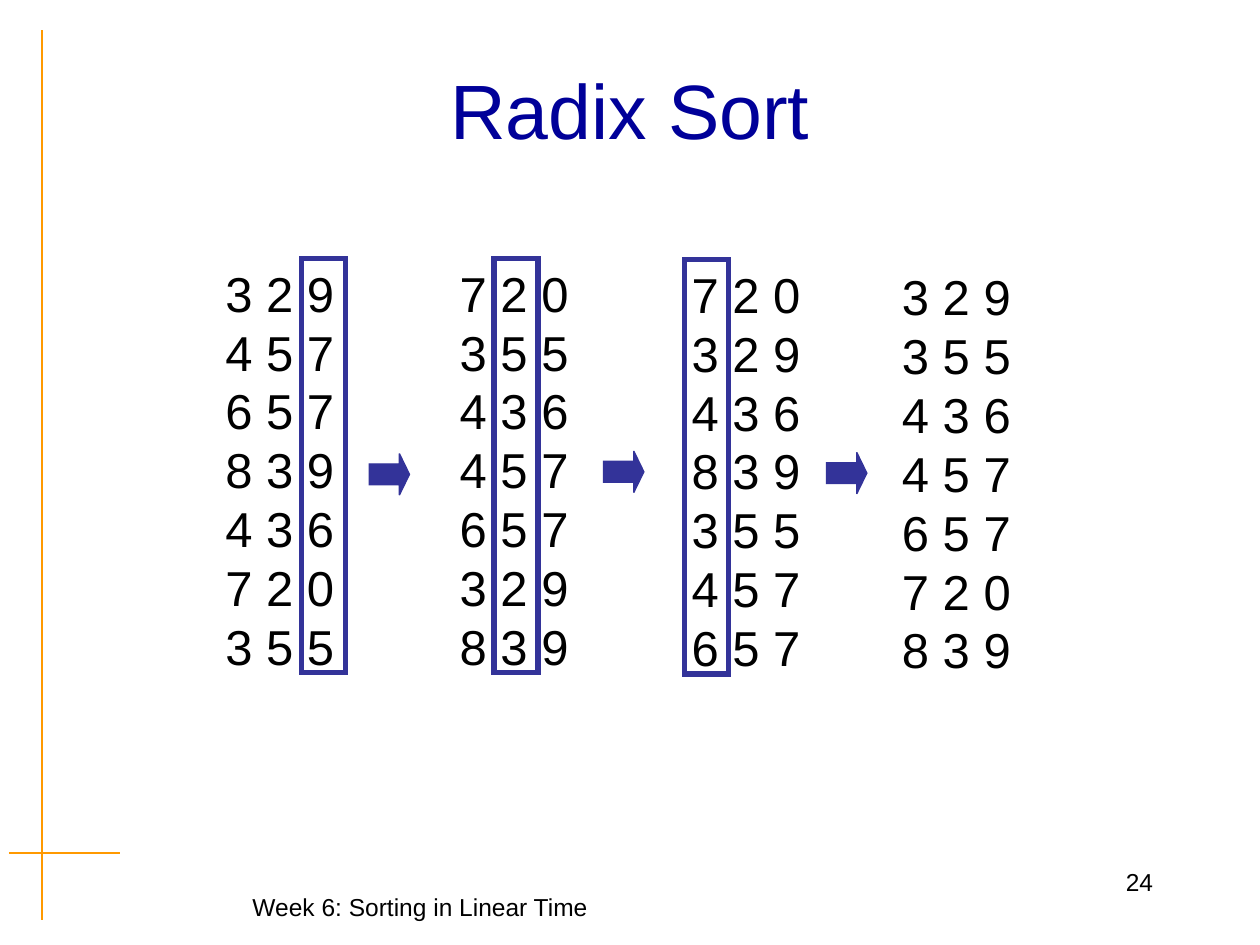
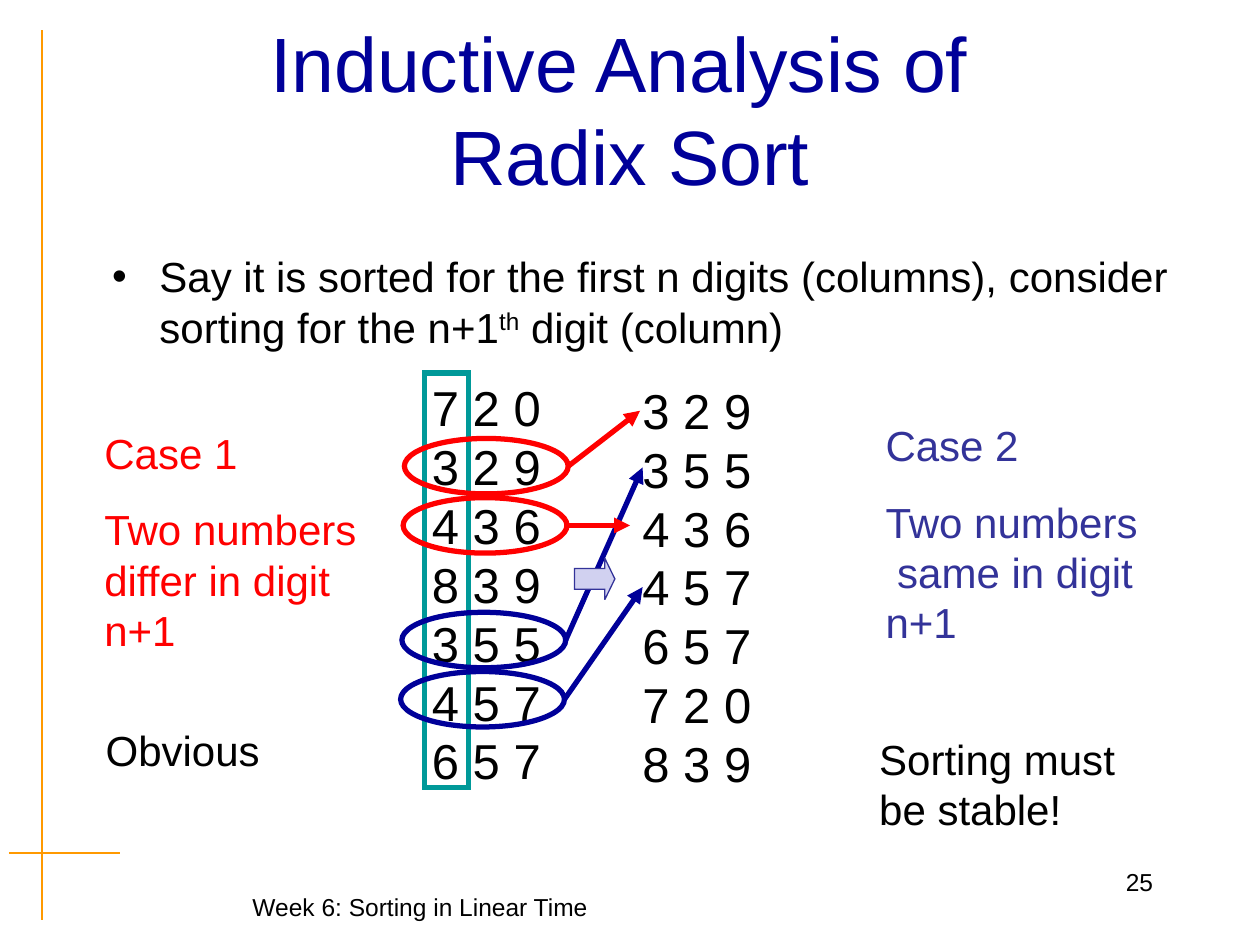
from dataclasses import dataclass
from typing import Optional

import pptx
import pptx.dml.color
import pptx.enum.shapes
import pptx.enum.text
import pptx.oxml
import pptx.oxml.ns
import pptx.util
from pptx.util import Inches

Color = pptx.dml.color.RGBColor
Align = pptx.enum.text.PP_ALIGN
Preset = pptx.enum.shapes.MSO_SHAPE


@dataclass(frozen=True)
class Theme:
    font: str = "Arial"
    black: Color = Color.from_string("000000")
    navy: Color = Color.from_string("000099")
    indigo: Color = Color.from_string("333399")
    lavender: Color = Color.from_string("D1D1F0")
    teal: Color = Color.from_string("009999")
    red: Color = Color.from_string("FF0000")
    orange: Color = Color.from_string("FF9900")
    title_size: int = 44
    digit_size: int = 28
    body_size: int = 24
    footer_size: int = 14
    rule_width: float = 1.19
    thin_width: float = 0.75
    thick_width: float = 3


THEME = Theme()


@dataclass(frozen=True)
class Column:
    """A list of three-digit numbers, with one digit position framed."""
    left: float
    top: float
    width: float
    numbers: str
    framed_digit: Optional[int] = None
    frame_color: Color = THEME.indigo


@dataclass(frozen=True)
class Note:
    left: float
    top: float
    height: float
    paragraphs: tuple[str, ...]
    color: Color = THEME.black


@dataclass(frozen=True)
class Trace:
    """An ellipse round a number and the arrow to its sorted place."""
    left: float
    top: float
    target: tuple[float, float]
    color: Color


# Number lists after each pass
INPUT = "3 2 9,4 5 7,6 5 7,8 3 9,4 3 6,7 2 0,3 5 5"
BY_ONES = "7 2 0,3 5 5,4 3 6,4 5 7,6 5 7,3 2 9,8 3 9"
BY_TENS = "7 2 0,3 2 9,4 3 6,8 3 9,3 5 5,4 5 7,6 5 7"
SORTED = "3 2 9,3 5 5,4 3 6,4 5 7,6 5 7,7 2 0,8 3 9"

PASSES = [
    Column(1.69, 2.04, 1.12, INPUT, 2),
    Column(3.55, 2.04, 1.64, BY_ONES, 1),
    Column(5.39, 2.05, 1.28, BY_TENS, 0),
    Column(7.06, 2.07, 1.19, SORTED),
]
PASS_ARROWS = [(2.93, 3.6), (4.79, 3.58), (6.56, 3.59)]

LAST_PASS = [
    Column(3.33, 2.95, 1.28, BY_TENS, 0, THEME.teal),
    Column(5, 2.97, 1.19, SORTED),
]
NOTES = [
    Note(0.73, 3.34, 1.91,
         ("Case 1", "Two numbers differ in digit n+1"), THEME.red),
    Note(6.93, 3.28, 1.91,
         ("Case 2", "Two numbers\v same in digit n+1"), THEME.indigo),
    Note(0.74, 5.7, 0.5, ("Obvious",)),
    Note(6.88, 5.77, 0.9, ("Sorting must be stable!",)),
]
TRACES = [
    Trace(3.18, 5.33, (5.1, 4.66), THEME.navy),
    Trace(3.21, 3.48, (5.08, 3.26), THEME.red),
    Trace(3.19, 4.86, (5.1, 3.71), THEME.navy),
    Trace(3.2, 3.95, (5, 4.17), THEME.red),
]


def place(shape, left: float, top: float, width: float, height: float) -> None:
    shape.left, shape.top = Inches(left), Inches(top)
    shape.width, shape.height = Inches(width), Inches(height)


def style(para, size: int, color: Color, align=Align.LEFT,
          space_before: float = 0) -> None:
    para.font.name = THEME.font
    para.font.size = pptx.util.Pt(size)
    para.font.color.rgb = color
    para.alignment = align
    para.space_before = pptx.util.Pt(space_before)


def add_text(page, left: float, top: float, width: float, height: float,
             paragraphs: tuple[str, ...], size: int,
             color: Color = THEME.black, align=Align.LEFT,
             space_before: float = 0) -> None:
    box = page.shapes.add_textbox(
        Inches(left), Inches(top), Inches(width), Inches(height))
    frame = box.text_frame
    frame.word_wrap = True
    for index, text in enumerate(paragraphs):
        para = frame.add_paragraph() if index else frame.paragraphs[0]
        para.text = text
        style(para, size, color, align, space_before)


def append_mark(parent, tag: str, attributes: str = "") -> None:
    """Append one empty drawing element, such as an arrowhead."""
    namespace = pptx.oxml.ns.nsdecls("a")
    parent.append(pptx.oxml.parse_xml(f"<a:{tag} {namespace} {attributes}/>"))


def add_line(page, start: tuple[float, float], end: tuple[float, float],
             color: Color, width: float, arrow: bool = False) -> None:
    line = page.shapes.add_connector(
        pptx.enum.shapes.MSO_CONNECTOR.STRAIGHT,
        Inches(start[0]), Inches(start[1]), Inches(end[0]), Inches(end[1]))
    line.line.color.rgb = color
    line.line.width = pptx.util.Pt(width)
    if arrow:
        append_mark(line._element.spPr.ln, "tailEnd", 'type="triangle"')
    append_mark(line._element.spPr, "effectLst")


def add_preset(page, preset, left: float, top: float, width: float,
               height: float, line_color: Color, line_width: float,
               fill: Optional[Color] = None):
    shape = page.shapes.add_shape(
        preset, Inches(left), Inches(top), Inches(width), Inches(height))
    shape.shadow.inherit = False
    shape.line.color.rgb = line_color
    shape.line.width = pptx.util.Pt(line_width)
    append_mark(shape._element.spPr.ln, "miter", 'lim="800000"')
    if fill is None:
        shape.fill.background()
    else:
        shape.fill.solid()
        shape.fill.fore_color.rgb = fill
    return shape


def add_block_arrow(page, left: float, top: float, fill: Color) -> None:
    arrow = add_preset(page, Preset.RIGHT_ARROW, left, top, 0.32, 0.33,
                       THEME.indigo, THEME.thin_width, fill)
    arrow.adjustments[0] = 0.5
    arrow.adjustments[1] = 0.25


def add_column(page, column: Column) -> None:
    add_text(page, column.left, column.top, column.width, 3.37,
             tuple(column.numbers.split(",")), THEME.digit_size)
    if column.framed_digit is not None:
        frame_left = column.left + 0.04 + 0.33 * column.framed_digit
        add_preset(page, Preset.RECTANGLE, frame_left, column.top + 0.01,
                   0.35, 3.29, column.frame_color, THEME.thick_width)


def add_trace(page, trace: Trace) -> None:
    width, height = 1.3, 0.44
    add_preset(page, Preset.OVAL, trace.left, trace.top, width, height,
               trace.color, THEME.thick_width)
    start = (trace.left + width, trace.top + height / 2)
    add_line(page, start, trace.target, trace.color, THEME.thick_width, True)


def add_page(deck, layout_index: int, title: str, number: int):
    """Start a slide with the shared rules, footer, number and title."""
    page = deck.slides.add_slide(deck.slide_layouts[layout_index])
    add_line(page, (0.33, 0.24), (0.33, 7.3), THEME.orange, THEME.rule_width)
    add_line(page, (0.07, 6.77), (0.95, 6.77), THEME.orange, THEME.rule_width)
    add_text(page, 0.88, 7.03, 4.91, 0.34, ("Week 6: Sorting in Linear Time",),
             THEME.footer_size, align=Align.CENTER)
    add_text(page, 7.17, 6.83, 2.08, 0.5, (str(number),),
             THEME.footer_size, align=Align.RIGHT)
    heading = page.shapes.title
    place(heading, 0.75, 0.38, 8.5, 0.96)
    frame = heading.text_frame
    frame.text = title
    frame.auto_size = pptx.enum.text.MSO_AUTO_SIZE.NONE
    frame.vertical_anchor = pptx.enum.text.MSO_ANCHOR.MIDDLE
    style(frame.paragraphs[0], THEME.title_size, THEME.navy, Align.CENTER)
    return page


def build_passes(deck) -> None:
    page = add_page(deck, 5, "Radix Sort", 24)
    for column in PASSES:
        add_column(page, column)
    for left, top in PASS_ARROWS:
        add_block_arrow(page, left, top, THEME.indigo)


def build_analysis(deck) -> None:
    page = add_page(deck, 1, "Inductive Analysis of \vRadix Sort", 25)

    # Bullet with a raised ordinal ending
    body = page.placeholders[1]
    place(body, 0.79, 1.94, 8.83, 3.79)
    body.text_frame.auto_size = pptx.enum.text.MSO_AUTO_SIZE.NONE
    para = body.text_frame.paragraphs[0]
    for text in ("Say it is sorted for the first n digits (columns), "
                 "consider sorting for the n+1", "th", " digit (column)"):
        span = para.add_run()
        span.text = text
        if text == "th":
            span._r.get_or_add_rPr().set("baseline", "30000")
    style(para, THEME.body_size, THEME.black, space_before=6)

    # Columns, cases and the moves between columns
    for column in LAST_PASS:
        add_column(page, column)
    for note in NOTES:
        add_text(page, note.left, note.top, 2.27, note.height,
                 note.paragraphs, THEME.body_size, note.color, space_before=15)
    for trace in TRACES:
        add_trace(page, trace)
    add_block_arrow(page, 4.56, 4.43, THEME.lavender)


def main() -> None:
    deck = pptx.Presentation()
    deck.slide_width, deck.slide_height = Inches(10), Inches(7.5)
    build_passes(deck)
    build_analysis(deck)
    deck.save("out.pptx")


if __name__ == "__main__":
    main()
